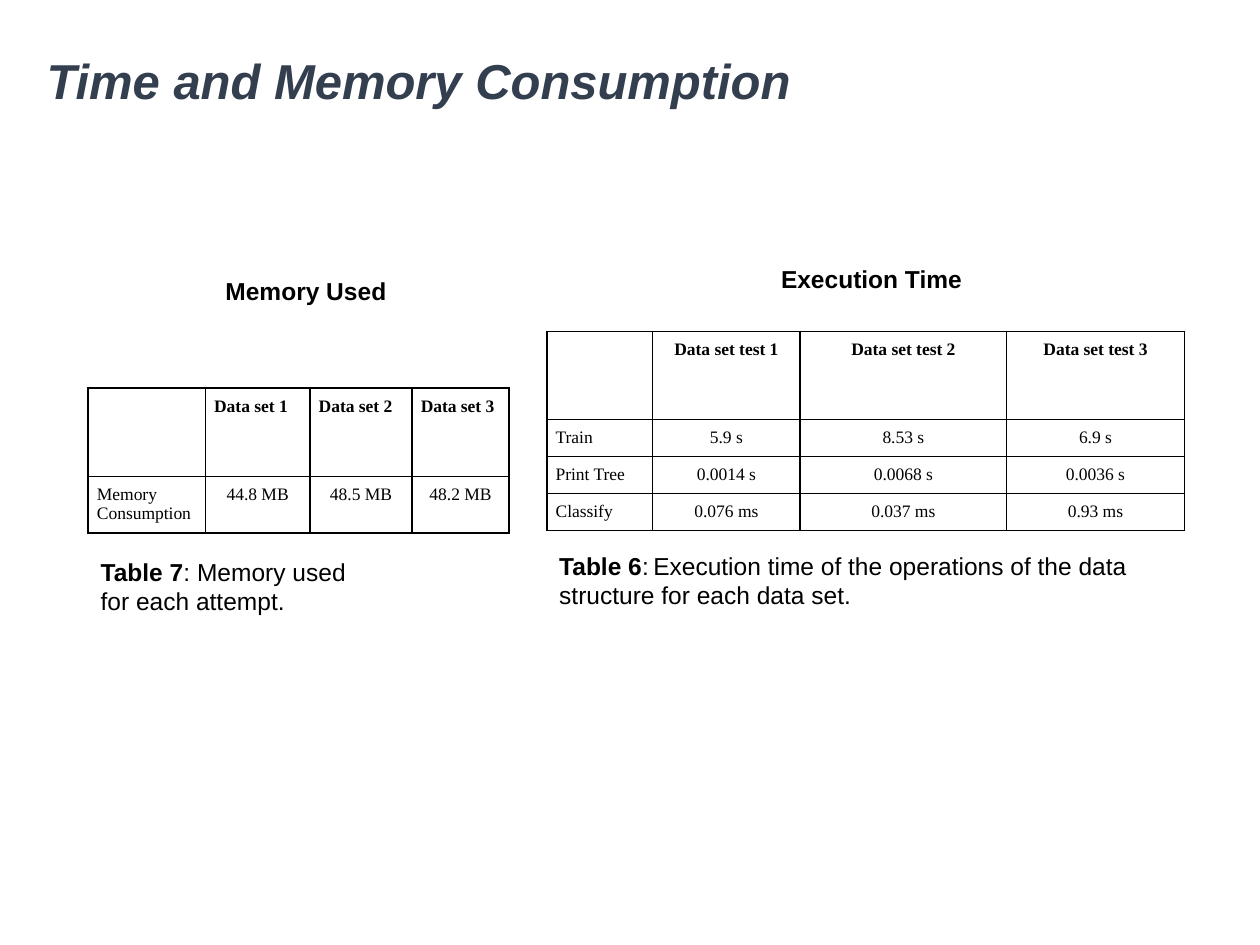
from lxml import etree
from pptx import Presentation
from pptx.dml.color import RGBColor
from pptx.enum import text
from pptx.oxml.ns import qn
from pptx.util import Inches, Pt

COLORS = {"title": "333F4F", "ink": "000000"}
HEADER_HEIGHT = 0.7
CELL_MARGIN = 0.07

MEMORY = [
    ["", "Data set 1", "Data set 2", "Data set 3"],
    ["Memory Consumption", "44.8 MB", "48.5 MB", "48.2 MB"],
]
TIMES = [
    ["", "Data set test 1", "Data set test 2", "Data set test 3"],
    ["Train", "5.9 s", "8.53 s", "6.9 s"],
    ["Print Tree", "0.0014 s", "0.0068 s", "0.0036 s"],
    ["Classify", "0.076 ms", "0.037 ms", "0.93 ms"],
]


def write(paragraph, words, size=14, font="Arial", color="ink", bold=False, italic=False):
    run = paragraph.add_run()
    run.text = words
    run.font.size = Pt(size)
    run.font.name = font
    run.font.bold = bold
    run.font.italic = italic
    run.font.color.rgb = RGBColor.from_string(COLORS[color])


def add_title(slide, words):
    title = slide.shapes.title
    title.left, title.top = Inches(0.27), Inches(0.33)
    title.width, title.height = Inches(8.62), Inches(0.67)
    frame = title.text_frame
    frame.vertical_anchor = text.MSO_ANCHOR.MIDDLE
    paragraph = frame.paragraphs[0]
    paragraph.alignment = text.PP_ALIGN.LEFT
    paragraph.line_spacing = 0.9
    write(paragraph, words, size=28, color="title", bold=True, italic=True)


def add_label(slide, left, top, width, height, bold_words, plain_words="", top_inset=0.05):
    """Add a text box that opens in bold and may go on in regular weight."""
    box = slide.shapes.add_textbox(Inches(left), Inches(top), Inches(width), Inches(height))
    frame = box.text_frame
    frame.word_wrap = True
    frame.margin_top = Inches(top_inset)
    paragraph = frame.paragraphs[0]
    write(paragraph, bold_words, bold=True)
    if plain_words:
        write(paragraph, plain_words)
    return paragraph


def add_borders(cell):
    properties = cell._tc.get_or_add_tcPr()
    for position, side in enumerate(("lnL", "lnR", "lnT", "lnB")):
        line = etree.Element(qn(f"a:{side}"), w=str(Pt(1)))
        fill = etree.SubElement(line, qn("a:solidFill"))
        etree.SubElement(fill, qn("a:srgbClr"), val=COLORS["ink"])
        properties.insert(position, line)


def add_data_table(slide, left, top, widths, row_height, data, header_align):
    heights = [HEADER_HEIGHT] + [row_height] * (len(data) - 1)
    table = slide.shapes.add_table(
        len(data), len(widths), Inches(left), Inches(top),
        Inches(sum(widths)), Inches(sum(heights))).table
    table.horz_banding = False
    table.first_row = False
    for column, width in zip(table.columns, widths):
        column.width = Inches(width)
    for row, height in zip(table.rows, heights):
        row.height = Inches(height)
    for r, values in enumerate(data):
        for c, value in enumerate(values):
            cell = table.cell(r, c)
            cell.fill.background()
            cell.margin_left = cell.margin_right = Inches(CELL_MARGIN)
            cell.margin_top = cell.margin_bottom = Inches(CELL_MARGIN)
            add_borders(cell)
            if not value:
                continue
            paragraph = cell.text_frame.paragraphs[0]
            if r == 0:
                paragraph.alignment = header_align
            elif c > 0:
                paragraph.alignment = text.PP_ALIGN.CENTER
            write(paragraph, value, size=10, font="Times New Roman", bold=r == 0)


def main():
    deck = Presentation()
    deck.slide_width, deck.slide_height = Inches(10), Inches(7.5)
    slide = deck.slides.add_slide(deck.slide_layouts[5])
    add_title(slide, "Time and Memory Consumption")

    add_data_table(slide, 4.34, 2.63, [0.84, 1.17, 1.64, 1.41], 0.29, TIMES,
                   text.PP_ALIGN.CENTER)
    add_data_table(slide, 0.7, 3.08, [0.93, 0.83, 0.81, 0.77], 0.45, MEMORY,
                   text.PP_ALIGN.LEFT)

    caption = add_label(slide, 4.34, 4.29, 4.96, 0.86, "Table 6", ":", top_inset=0.08)
    write(caption, " ", size=10, font="Times New Roman")
    write(caption, "Execution time of the operations of the data structure for each data set.")
    add_label(slide, 0.7, 4.37, 2.21, 0.88, "Table 7", ": Memory used for each attempt.")
    add_label(slide, 6.1, 2.05, 2.21, 0.64, "Execution Time")
    add_label(slide, 1.69, 2.14, 2.21, 0.34, "Memory Used")
    deck.save("out.pptx")


if __name__ == "__main__":
    main()
